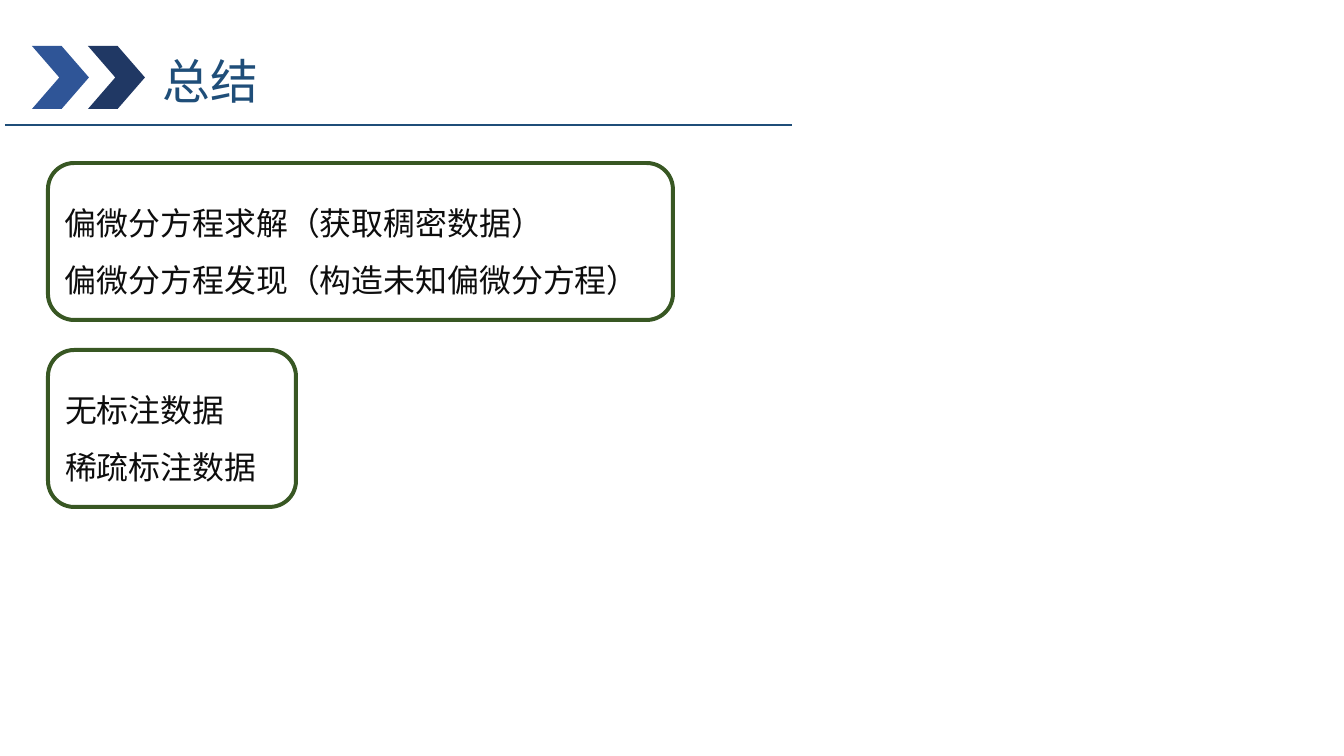
from dataclasses import dataclass
from lxml.etree import SubElement
from pptx import Presentation
from pptx.dml.color import RGBColor
from pptx.enum.shapes import MSO_CONNECTOR, MSO_SHAPE
from pptx.enum.text import MSO_ANCHOR, PP_ALIGN
from pptx.oxml.ns import qn
from pptx.util import Pt

SCALE = 9565


@dataclass(frozen=True)
class Theme:
    font: str = "Noto Sans CJK SC"
    title: str = "1F4E79"
    chevrons: tuple = ("2F5597", "203864")
    border: str = "385723"
    body: str = "0D0D0D"
    title_size: int = 36
    body_size: int = 24
    rule_width: float = 2.25
    border_width: int = 3


THEME = Theme()


def px(*values):
    return [round(v * SCALE) for v in values]


def rgb(color):
    return RGBColor.from_string(color)


def write(tf, lines, size, color, paragraph):
    for i, line in enumerate(lines):
        p = tf.paragraphs[0] if i == 0 else tf.add_paragraph()
        for name, value in paragraph.items():
            setattr(p, name, value)
        r = p.add_run()
        r.text = line
        for name, value in {"name": THEME.font, "size": Pt(size)}.items():
            setattr(r.font, name, value)
        r.font.color.rgb = rgb(color)
        SubElement(r.font._element, qn("a:ea"), typeface=THEME.font)


def add_header(s, x, y, w, h, title):
    for i, color in enumerate(THEME.chevrons):
        sp = s.shapes.add_shape(MSO_SHAPE.CHEVRON, *px(x + 27 + 56 * i, y + 22, 57, 63))
        sp.adjustments[0] = 0.48
        sp.shadow.inherit = False
        sp.fill.solid()
        sp.fill.fore_color.rgb = rgb(color)
        sp.line.fill.background()
    tf = s.shapes.add_textbox(*px(x + 148, y, 829, 82)).text_frame
    tf.word_wrap = True
    write(tf, [title], THEME.title_size, THEME.title, {"line_spacing": 1.4})
    rule = s.shapes.add_connector(MSO_CONNECTOR.STRAIGHT, *px(x, y + h, x + w, y + h))
    rule.line.color.rgb = rgb(THEME.title)
    rule.line.width = Pt(THEME.rule_width)
    SubElement(rule._element.spPr, qn("a:effectLst"))


def add_summary_box(s, x, y, w, h, lines):
    sp = s.shapes.add_shape(MSO_SHAPE.ROUNDED_RECTANGLE, *px(x, y, w, h))
    sp.shadow.inherit = False
    sp.fill.background()
    sp.line.color.rgb = rgb(THEME.border)
    sp.line.width = Pt(THEME.border_width)
    tf = sp.text_frame
    for name, value in {"word_wrap": True, "vertical_anchor": MSO_ANCHOR.MIDDLE}.items():
        setattr(tf, name, value)
    write(tf, lines, THEME.body_size, THEME.body,
          {"alignment": PP_ALIGN.JUSTIFY, "line_spacing": 1.5})


def main():
    prs = Presentation()
    prs.slide_width, prs.slide_height = px(1344, 756)
    s = prs.slides.add_slide(prs.slide_layouts[6])
    add_header(s, 5, 24, 787, 101, "总结")
    boxes = [
        (625, ["偏微分方程求解（获取稠密数据）", "偏微分方程发现（构造未知偏微分方程）"]),
        (248, ["无标注数据", "稀疏标注数据"]),
    ]
    for i, (w, lines) in enumerate(boxes):
        add_summary_box(s, 48, 163 + 187 * i, w, 157, lines)
    prs.save("out.pptx")


if __name__ == "__main__":
    main()
